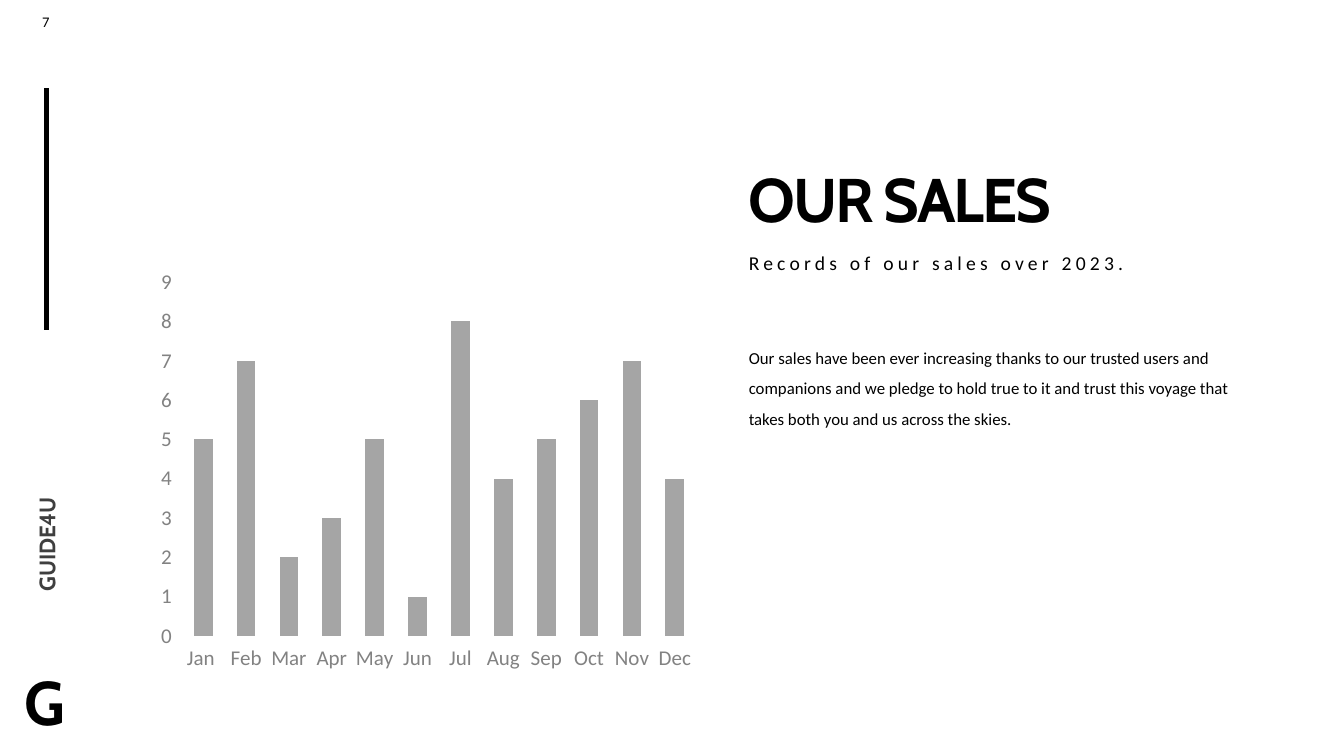
from pptx import Presentation
from pptx.chart import data
from pptx.dml import color
from pptx.enum import chart as chart_enum, shapes, text
from pptx.oxml import ns, xmlchemy
from pptx.util import Cm, Pt

BLACK = color.RGBColor(0x00, 0x00, 0x00)
CHARCOAL = color.RGBColor(0x3F, 0x3F, 0x3F)
AXIS_GREY = color.RGBColor(0x82, 0x82, 0x82)
BAR_GREY = color.RGBColor(0xA5, 0xA5, 0xA5)
WHITE = color.RGBColor(0xFF, 0xFF, 0xFF)
HEADING_FONT = "Cabin"
BODY_FONT = "Calibri"

COLUMN_LEFT, COLUMN_WIDTH = 18.87, 13.23
MONTHLY_SALES = {
    "Jan ": 5, "Feb": 7, "Mar": 2, "Apr": 3, "May": 5, "Jun": 1,
    "Jul": 8, "Aug": 4, "Sep": 5, "Oct": 6, "Nov": 7, "Dec": 4,
}


def place(shape, left, top, width, height):
    """Move and size a shape, in centimetres."""
    shape.left, shape.top = Cm(left), Cm(top)
    shape.width, shape.height = Cm(width), Cm(height)


def style_font(font, size, font_color, name=BODY_FONT, bold=False):
    """Set the look of a font."""
    font.size, font.name, font.bold = Pt(size), name, bold
    font.color.rgb = font_color


def write(shape, words, size, font_color=BLACK, name=BODY_FONT, bold=False,
          align=text.PP_ALIGN.LEFT, anchor=text.MSO_ANCHOR.TOP,
          line_spacing=1.0, tracking=0, inset_left=0.25):
    """Put one formatted paragraph without a bullet into a shape."""
    frame = shape.text_frame
    frame.word_wrap = True
    frame.auto_size = text.MSO_AUTO_SIZE.NONE
    frame.vertical_anchor = anchor
    frame.margin_left, frame.margin_right = Cm(inset_left), Cm(0.25)
    frame.margin_top = frame.margin_bottom = Cm(0.13)
    paragraph = frame.paragraphs[0]
    properties = paragraph._p.get_or_add_pPr()
    properties.set("marL", "0")
    properties.set("indent", "0")
    properties.append(xmlchemy.OxmlElement("a:buNone"))
    paragraph.alignment = align
    paragraph.line_spacing = line_spacing
    paragraph.space_before = Pt(0)
    run = paragraph.add_run()
    run.text = words
    style_font(run.font, size, font_color, name, bold)
    if tracking:
        run._r.get_or_add_rPr().set("spc", str(round(tracking * 100)))


def add_label(slide, words, left, top, width, height, rotation=0, **style):
    """Add a text box with one formatted line."""
    label = slide.shapes.add_textbox(Cm(left), Cm(top), Cm(width), Cm(height))
    label.rotation = rotation
    write(label, words, **style)


def add_rule(slide, left, top, bottom):
    """Add the heavy vertical rule."""
    rule = slide.shapes.add_connector(
        shapes.MSO_CONNECTOR.STRAIGHT, Cm(left), Cm(bottom), Cm(left), Cm(top))
    rule.line.color.rgb = BLACK
    rule.line.width = Pt(3)
    rule._element.find(ns.qn("p:spPr")).append(
        xmlchemy.OxmlElement("a:effectLst"))


def add_sales_chart(slide, left, top, width, height):
    """Add the column chart of monthly sales."""
    chart_data = data.CategoryChartData()
    chart_data.categories = list(MONTHLY_SALES)
    chart_data.add_series("Series 1", list(MONTHLY_SALES.values()))
    chart = slide.shapes.add_chart(
        chart_enum.XL_CHART_TYPE.COLUMN_CLUSTERED,
        Cm(left), Cm(top), Cm(width), Cm(height), chart_data).chart
    chart.has_legend = chart.has_title = False
    style_font(chart.font, 15, CHARCOAL)
    for axis in (chart.category_axis, chart.value_axis):
        axis.has_major_gridlines = False
        axis.format.line.fill.background()
        style_font(axis.tick_labels.font, 15, AXIS_GREY)
    chart.value_axis.minimum_scale = 0
    chart.value_axis.maximum_scale = 9
    chart.value_axis.major_unit = 1
    plot = chart.plots[0]
    plot.gap_width = 129
    plot.vary_by_categories = False
    fill = plot.series[0].format.fill
    fill.solid()
    fill.fore_color.rgb = BAR_GREY


def main():
    """Build and save the sales slide."""
    presentation = Presentation()
    presentation.slide_width, presentation.slide_height = Cm(33.87), Cm(19.05)
    slide = presentation.slides.add_slide(
        presentation.slide_layouts.get_by_name("Comparison"))
    slide.background.fill.solid()
    slide.background.fill.fore_color.rgb = WHITE
    title, subtitle, body, initial, unused = slide.placeholders
    unused._element.getparent().remove(unused._element)

    place(title, COLUMN_LEFT, 2.34, COLUMN_WIDTH, 3.73)
    write(title, "OUR SALES", 44, name=HEADING_FONT, bold=True, inset_left=0,
          anchor=text.MSO_ANCHOR.BOTTOM, line_spacing=0.9, tracking=-1.5)
    place(subtitle, COLUMN_LEFT, 6.25, COLUMN_WIDTH, 1.68)
    write(subtitle, "Records of our sales over 2023.", 14, inset_left=0,
          line_spacing=0.9, tracking=3)
    place(body, COLUMN_LEFT, 8.38, COLUMN_WIDTH, 8.61)
    write(body, "Our sales have been ever increasing thanks to our trusted "
          "users and companions and we pledge to hold true to it and trust "
          "this voyage that takes both you and us across the skies.",
          12, inset_left=0, line_spacing=1.5)
    place(initial, 0.36, 16.66, 1.5, 1.98)
    write(initial, "G", 44, name=HEADING_FONT, bold=True,
          align=text.PP_ALIGN.CENTER, anchor=text.MSO_ANCHOR.MIDDLE)

    add_rule(slide, 1.17, 2.21, 8.31)
    add_label(slide, "7", 0.43, 0.2, 1.45, 0.69, size=10.5,
              align=text.PP_ALIGN.CENTER)
    add_label(slide, "GUIDE4U", -1.88, 11.71, 6.1, 0.79, rotation=270, size=16,
              font_color=CHARCOAL, name=HEADING_FONT, bold=True,
              anchor=text.MSO_ANCHOR.MIDDLE)
    add_sales_chart(slide, 3.78, 6.58, 14.05, 10.54)
    presentation.save("out.pptx")


if __name__ == "__main__":
    main()
